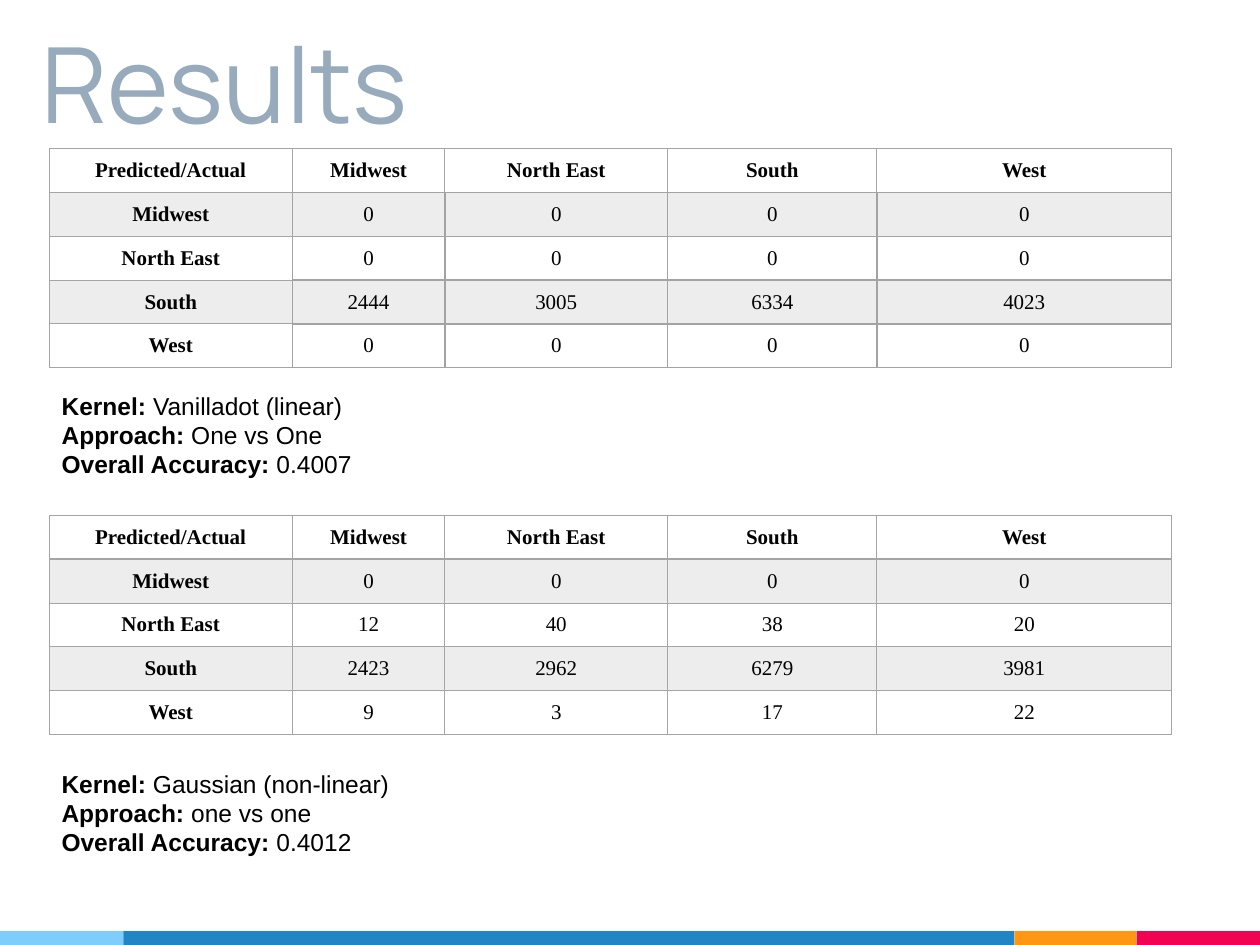
from dataclasses import dataclass
from itertools import accumulate

from lxml.etree import SubElement
from pptx import Presentation
from pptx.dml.color import RGBColor
from pptx.enum.shapes import MSO_SHAPE
from pptx.enum.text import MSO_ANCHOR, PP_ALIGN
from pptx.oxml.ns import qn
from pptx.util import Inches, Pt

COLORS = {
    "title": "97ABBC", "text": "000000", "band": "EDEDED",
    "line": "A5A5A5", "strong line": "A3A3A3",
    "sky": "7ECEFD", "blue": "2185C5", "orange": "FF9715", "red": "F20253",
}
PAGE_WIDTH, PAGE_HEIGHT = 10, 7.5
LEFT = 0.39
COLUMNS = (1.93, 1.21, 1.77, 1.66, 2.34)
ROW_HEIGHT = 1.74 / 5
REGIONS = ("Midwest", "North East", "South", "West")
# Footer stripe: colour and width in inches
FOOTER = (("sky", 0.98), ("blue", 7.07), ("orange", 0.97), ("red", 0.98))
FOOTER_HEIGHT = 0.11


@dataclass(frozen=True)
class Border:
    color: str
    width: float


THIN = Border("line", 0.5)
RULE = Border("line", 1)
STRONG = Border("strong line", 1)


@dataclass(frozen=True)
class Result:
    table_top: float
    summary_top: float
    summary_width: float
    counts: tuple[tuple[int, ...], ...]
    body_border: Border
    body_inset: float
    header_rule: Border
    summary: tuple[tuple[str, str], ...]


RESULTS = (
    Result(1.18, 3.05, 8.91,
           ((0, 0, 0, 0), (0, 0, 0, 0), (2444, 3005, 6334, 4023), (0, 0, 0, 0)),
           STRONG, 0.06, STRONG,
           (("Kernel: ", "Vanilladot (linear)"), ("Approach: ", "One vs One"),
            ("Overall Accuracy: ", "0.4007"))),
    Result(4.09, 6.05, 4.8,
           ((0, 0, 0, 0), (12, 40, 38, 20), (2423, 2962, 6279, 3981), (9, 3, 17, 22)),
           THIN, 0.07, RULE,
           (("Kernel: ", "Gaussian (non-linear)"), ("Approach:", " one vs one"),
            ("Overall Accuracy: ", "0.4012"))),
)


def rgb(name: str) -> RGBColor:
    return RGBColor.from_string(COLORS[name])


def add_span(para, text: str, font: str, size: float,
             color: str = "text", bold: bool = False) -> None:
    span = para.add_run()
    span.text = text
    span.font.name, span.font.size, span.font.bold = font, Pt(size), bold
    span.font.color.rgb = rgb(color)


def set_borders(cell, borders: dict[str, Border]) -> None:
    """Border lines come before the fill in the cell properties."""
    properties = cell._tc.get_or_add_tcPr()
    for index, side in enumerate("LRTB"):
        border = borders[side]
        line = properties.makeelement(qn(f"a:ln{side}"), {"w": str(Pt(border.width))})
        fill = SubElement(line, qn("a:solidFill"))
        SubElement(fill, qn("a:srgbClr"), val=COLORS[border.color])
        properties.insert(index, line)


def cell_borders(row: int, column: int, result: Result) -> dict[str, Border]:
    is_body = row > 0 and column > 0
    borders = dict.fromkeys("LRTB", result.body_border if is_body else THIN)
    if row and not column:
        borders["R"] = result.body_border
    if row < 2:
        borders["T" if row else "B"] = result.header_rule if column else RULE
    return borders


def add_matrix(page, result: Result) -> None:
    rows = [("Predicted/Actual", *REGIONS)]
    rows += [(region, *counts) for region, counts in zip(REGIONS, result.counts)]
    table = page.shapes.add_table(
        len(rows), len(COLUMNS), Inches(LEFT), Inches(result.table_top),
        Inches(sum(COLUMNS)), Inches(ROW_HEIGHT * len(rows))).table
    for column, width in zip(table.columns, COLUMNS):
        column.width = Inches(width)
    for r, values in enumerate(rows):
        table.rows[r].height = Inches(ROW_HEIGHT)
        for c, value in enumerate(values):
            cell = table.cell(r, c)
            is_header = r == 0 or c == 0
            inset = Inches(0.07 if is_header else result.body_inset)
            cell.margin_left = cell.margin_right = inset
            cell.margin_top = cell.margin_bottom = inset
            cell.vertical_anchor = MSO_ANCHOR.MIDDLE
            if r % 2:
                cell.fill.solid()
                cell.fill.fore_color.rgb = rgb("band")
            else:
                cell.fill.background()
            set_borders(cell, cell_borders(r, c, result))
            para = cell.text_frame.paragraphs[0]
            para.alignment = PP_ALIGN.CENTER
            add_span(para, str(value), "Times New Roman", 12, bold=is_header)


def add_summary(page, result: Result) -> None:
    box = page.shapes.add_textbox(Inches(LEFT), Inches(result.summary_top),
                                  Inches(result.summary_width), Inches(0.81))
    frame = box.text_frame
    frame.word_wrap = True
    for index, (label, value) in enumerate(result.summary):
        para = frame.add_paragraph() if index else frame.paragraphs[0]
        add_span(para, label, "Arial", 14, bold=True)
        add_span(para, value, "Arial", 14)


def add_title(page, text: str) -> None:
    box = page.shapes.add_textbox(Inches(0.23), 0, Inches(8.34), Inches(1.25))
    frame = box.text_frame
    frame.word_wrap = True
    frame.vertical_anchor = MSO_ANCHOR.BOTTOM
    frame.margin_top = frame.margin_bottom = Inches(0.1)
    add_span(frame.paragraphs[0], text, "Manrope", 60, "title")


def add_footer(page) -> None:
    starts = accumulate((width for _, width in FOOTER), initial=0)
    for (color, width), start in zip(FOOTER, starts):
        stripe = page.shapes.add_shape(
            MSO_SHAPE.RECTANGLE, Inches(start), Inches(PAGE_HEIGHT - FOOTER_HEIGHT),
            Inches(width), Inches(FOOTER_HEIGHT))
        stripe.shadow.inherit = False
        stripe.fill.solid()
        stripe.fill.fore_color.rgb = rgb(color)
        stripe.line.fill.background()


def main() -> None:
    deck = Presentation()
    deck.slide_width, deck.slide_height = Inches(PAGE_WIDTH), Inches(PAGE_HEIGHT)
    page = deck.slides.add_slide(deck.slide_layouts[6])
    add_footer(page)
    add_title(page, "Results")
    # Each result: confusion matrix with its model summary below
    for result in RESULTS:
        add_matrix(page, result)
        add_summary(page, result)
    deck.save("out.pptx")


if __name__ == "__main__":
    main()
